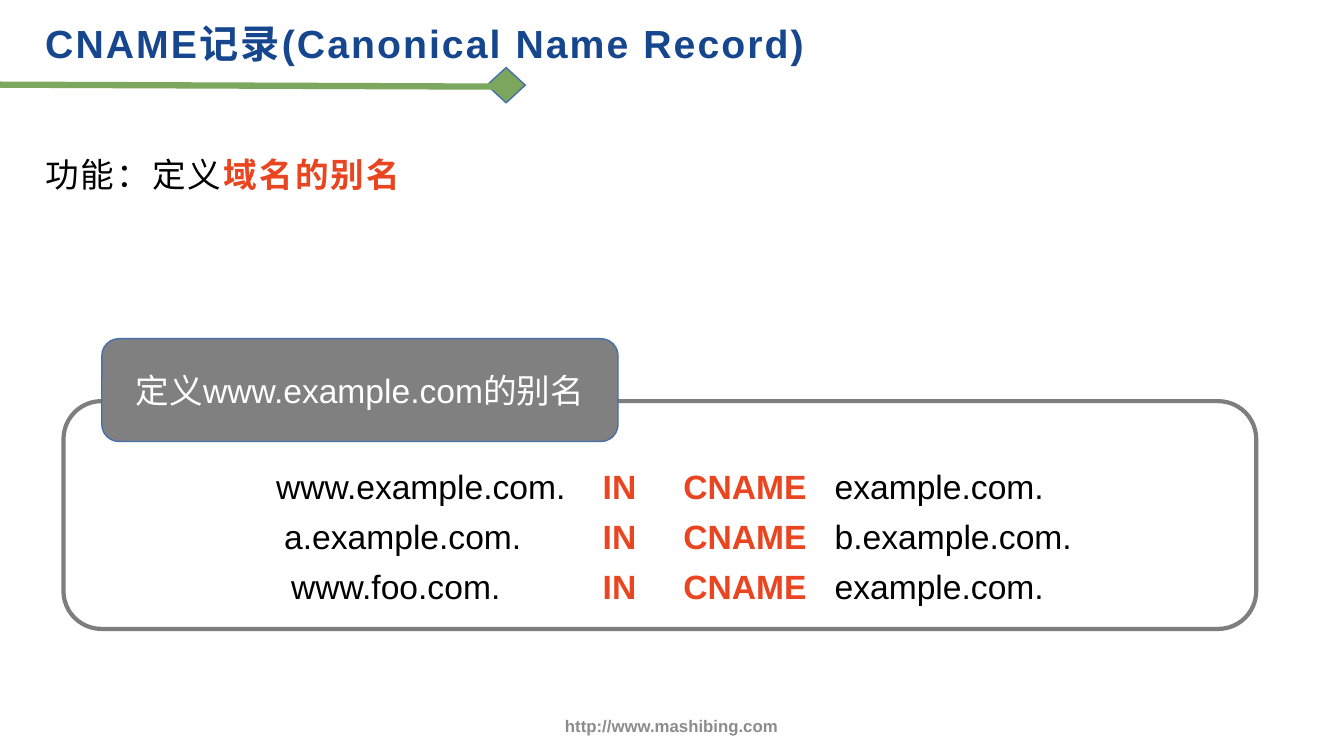
import pptx
import pptx.dml.color
import pptx.enum.shapes
import pptx.enum.text
import pptx.oxml
import pptx.oxml.ns
import pptx.util

Inches = pptx.util.Inches
Pt = pptx.util.Pt
Shape = pptx.enum.shapes.MSO_SHAPE
Align = pptx.enum.text.PP_ALIGN
Anchor = pptx.enum.text.MSO_ANCHOR
NS = pptx.oxml.ns.nsdecls("a")

GREEN, EDGE, GRAY = "7CA65E", "476FAA", "808080"
BLACK, RED, NAVY, WHITE = "000000", "E94520", "16468D", "FFFFFF"


def tint(code):
    return pptx.dml.color.RGBColor.from_string(code)


class Page:
    """Holds the current slide and the shared text style."""

    def __init__(self, slide):
        self.slide = slide
        self.style = {"name": "Arial", "size": Pt(24), "bold": False}

    def edge(self, line, color, width):
        line.color.rgb = tint(color)
        line.width = Pt(width)

    def shape(self, kind, box, fill, color, width):
        shape = self.slide.shapes.add_shape(kind, *map(Inches, box))
        shape.shadow.inherit = False
        if fill:
            shape.fill.solid()
            shape.fill.fore_color.rgb = tint(fill)
        else:
            shape.fill.background()
        self.edge(shape.line, color, width)
        return shape

    def line(self, start, end, color, width):
        kind = pptx.enum.shapes.MSO_CONNECTOR.STRAIGHT
        line = self.slide.shapes.add_connector(kind, *map(Inches, start + end))
        self.edge(line.line, color, width)
        line._element.spPr.append(pptx.oxml.parse_xml(f"<a:effectLst {NS}/>"))

    def words(self, frame, runs, tabs=(), track=0, para=None, **font):
        """Fill a frame with (text, colour, format) runs."""
        frame.word_wrap = True
        first = frame.paragraphs[0]
        for key, value in (para or {}).items():
            setattr(first, key, value)
        if tabs:
            stops = "".join(f'<a:tab pos="{Inches(x)}" algn="l"/>' for x in tabs)
            xml = f"<a:tabLst {NS}>{stops}</a:tabLst>"
            first._p.get_or_add_pPr().append(pptx.oxml.parse_xml(xml))
        for text, color, extra in runs:
            run = first.add_run()
            run.text = text
            for key, value in {**self.style, **font, **extra}.items():
                setattr(run.font, key, value)
            run.font.color.rgb = tint(color)
            if track:
                run._r.get_or_add_rPr().set("spc", str(int(track * 100)))

    def text(self, box, runs, anchor=Anchor.TOP, **style):
        frame = self.slide.shapes.add_textbox(*map(Inches, box)).text_frame
        frame.vertical_anchor = anchor
        self.words(frame, runs, **style)


def main():
    deck = pptx.Presentation()
    deck.slide_width, deck.slide_height = Inches(13.33), Inches(7.5)
    page = Page(deck.slides.add_slide(deck.slide_layouts[6]))
    bold = {"bold": True}
    mid = {"alignment": Align.CENTER}
    body = {"line_spacing": 1.3, "space_after": Pt(6)}

    page.shape(Shape.DIAMOND, (4.83, 0.67, 0.38, 0.35), GREEN, EDGE, 1)
    page.text((4.3, 6.9, 4.72, 0.6),
              [("http://www.mashibing.com", "8C8C8C", bold)],
              anchor=Anchor.MIDDLE, para=mid, size=Pt(12))
    page.line((0, 0.84), (5.07, 0.86), "7CA75F", 4.5)

    page.shape(Shape.ROUNDED_RECTANGLE, (0.63, 3.98, 11.83, 2.26), None, "7E7E7E", 3)
    label = page.shape(Shape.ROUNDED_RECTANGLE, (1.01, 3.36, 5.12, 1.02), GRAY, EDGE, 1)
    label.text_frame.vertical_anchor = Anchor.MIDDLE
    page.words(label.text_frame, [("定义www.example.com的别名", WHITE, {})], para=mid)

    page.text((0.35, 1.36, 11.03, 0.99),
              [("功能：定义", BLACK, {}), ("域名的别名", RED, bold)],
              track=1.5, para=body)
    page.text((0.35, 0, 10.85, 0.7),
              [("CNAME记录(Canonical Name Record)", NAVY, bold)],
              track=1.5, para=body, size=Pt(28))

    rows = [
        ("www.example.com.", "example.com.", 2.01),
        ("a.example.com.", "b.example.com.", 2.09),
        ("www.foo.com.", "example.com.", 2.16),
    ]
    for i, (alias, target, left) in enumerate(rows):
        page.text((0.63, 4.57 + 0.5 * i, 11.83, 0.5),
                  [(f"\t{alias}\t", BLACK, {}), ("IN\tCNAME\t", RED, bold),
                   (target, BLACK, {})],
                  tabs=(left, 5.25, 6.05, 7.55), para={"alignment": Align.LEFT})

    deck.save("out.pptx")


if __name__ == "__main__":
    main()
